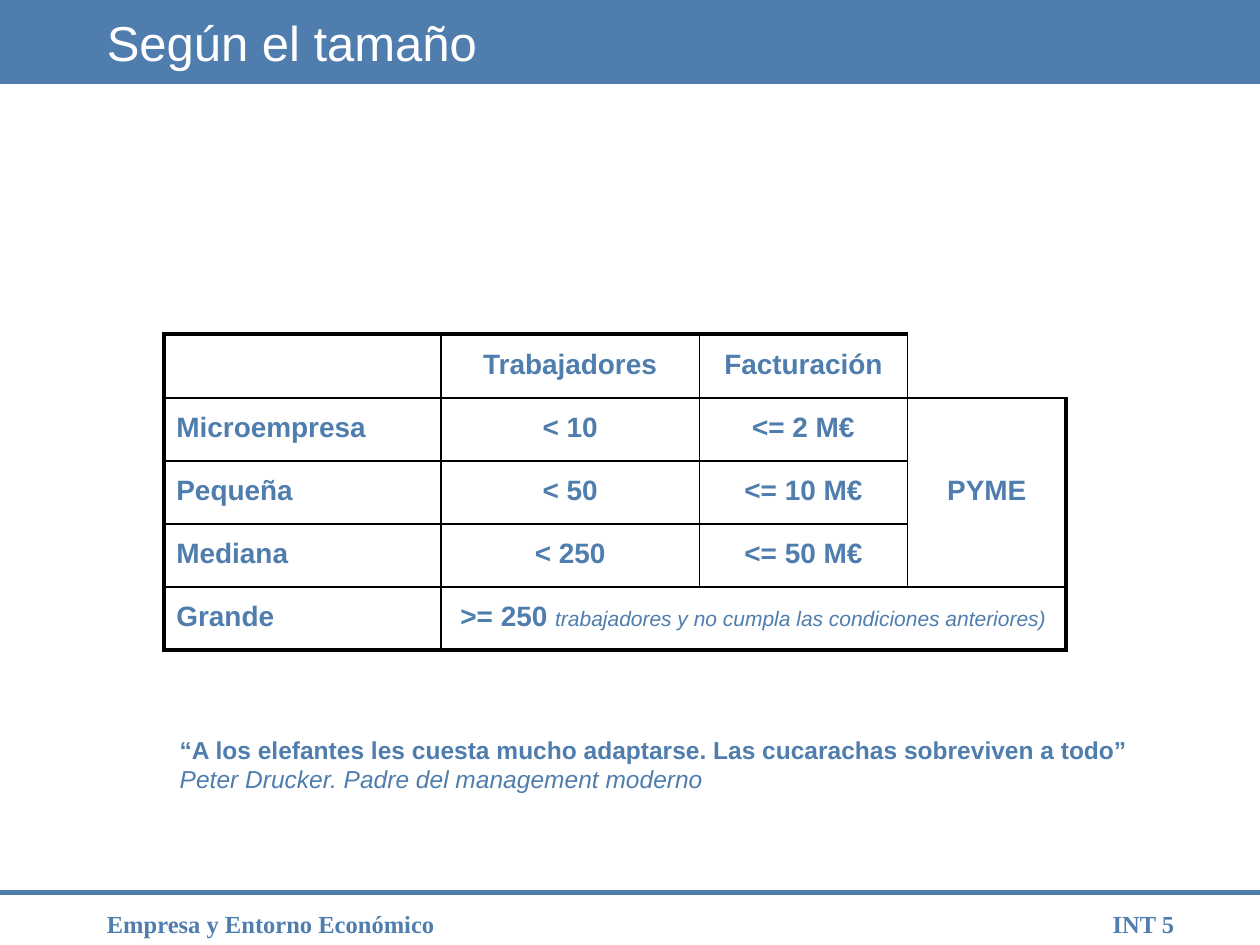
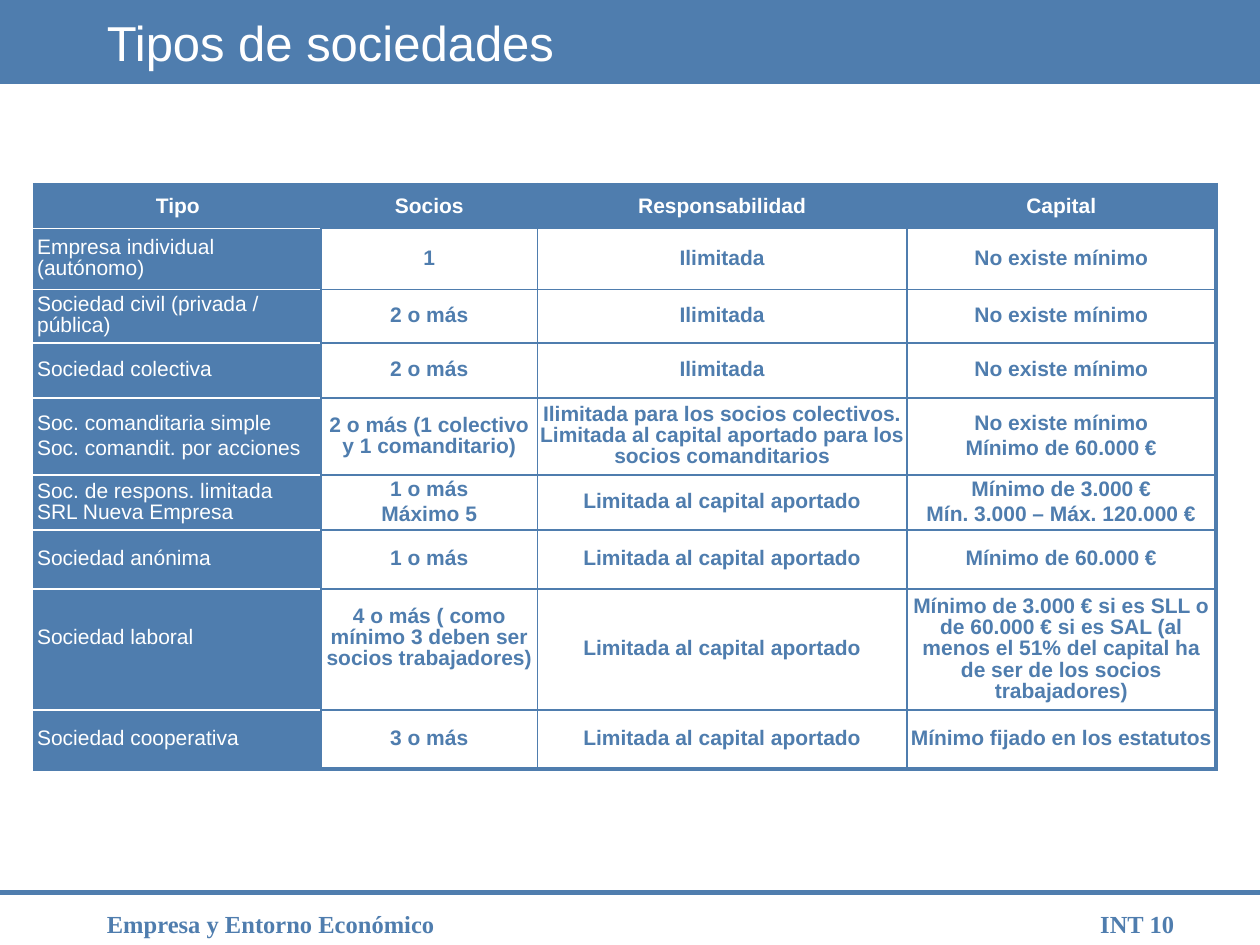
import dataclasses

import lxml.etree
import pptx
import pptx.dml.color
import pptx.enum.shapes
import pptx.enum.text
import pptx.oxml.ns
import pptx.util

Pt = pptx.util.Pt
ALIGN = pptx.enum.text.PP_ALIGN
ANCHOR = pptx.enum.text.MSO_ANCHOR


@dataclasses.dataclass(frozen=True)
class Theme:
    blue: str = "4F7DAE"
    white: str = "FFFFFF"
    black: str = "000000"
    body_font: str = "Arial"
    footer_font: str = "Times New Roman"
    title_size: float = 28
    footer_size: float = 14
    quote_size: float = 14
    size_table_size: float = 16
    small_size: float = 12
    thin: float = 1
    thick: float = 2.25
    footer_line: float = 3


THEME = Theme()
SLIDE_WIDTH, SLIDE_HEIGHT = 720, 540
TITLE_BAND = (0, 0, SLIDE_WIDTH, 48)
FOOTER = (0, 510, SLIDE_WIDTH, 30)
COURSE = "Empresa y Entorno Económico"

# Company sizes: rows, and merged cells as (row, column): (rows, columns)
SIZE_ROWS = [
    ["", "Trabajadores", "Facturación", ""],
    ["Microempresa", "< 10", "<= 2 M€", "PYME"],
    ["Pequeña", "< 50", "<= 10 M€", ""],
    ["Mediana", "< 250", "<= 50 M€", ""],
    ["Grande", "", "", ""],
]
SIZE_SPANS = {(1, 3): (3, 1), (4, 1): (1, 3)}
LARGE_COMPANY = [(">= 250 ", THEME.size_table_size, True),
                 ("trabajadores y no cumpla las condiciones anteriores)", THEME.small_size, False)]

# Company types: a tuple holds several paragraphs
NO_MINIMUM = "No existe mínimo"
LIMITED = "Limitada al capital aportado"
TYPE_ROWS = [
    ["Tipo", "Socios", "Responsabilidad", "Capital"],
    ["Empresa individual (autónomo)", "1", "Ilimitada", NO_MINIMUM],
    ["Sociedad civil (privada / pública)", "2 o más", "Ilimitada", NO_MINIMUM],
    ["Sociedad colectiva", "2 o más", "Ilimitada", NO_MINIMUM],
    [("Soc. comanditaria simple", "Soc. comandit. por acciones"),
     "2 o más (1 colectivo y 1 comanditario)",
     "Ilimitada para los socios colectivos. Limitada al capital aportado para los "
     "socios comanditarios",
     (NO_MINIMUM, "Mínimo de 60.000 €")],
    ["Soc. de respons. limitada\nSRL Nueva Empresa", ("1 o más", "Máximo 5"), LIMITED,
     ("Mínimo de 3.000 €", "Mín. 3.000 – Máx. 120.000 €")],
    ["Sociedad anónima", "1 o más", LIMITED, "Mínimo de 60.000 €"],
    ["Sociedad laboral", "4 o más ( como mínimo 3 deben ser socios trabajadores)", LIMITED,
     "Mínimo de 3.000 € si es SLL o de 60.000 € si es SAL (al menos el 51% del capital "
     "ha de ser de los socios trabajadores)"],
    ["Sociedad cooperativa", "3 o más", LIMITED, "Mínimo fijado en los estatutos"],
]


def rgb(color):
    return pptx.dml.color.RGBColor.from_string(color)


def style_font(font, size, color, name=THEME.body_font, bold=False, italic=False):
    font.name, font.size, font.bold, font.italic = name, Pt(size), bold, italic
    font.color.rgb = rgb(color)


def add_text(slide, box, text, size, color, align=ALIGN.LEFT, anchor=ANCHOR.TOP, **style):
    frame = slide.shapes.add_textbox(*map(Pt, box)).text_frame
    frame.word_wrap = True
    frame.vertical_anchor = anchor
    paragraph = frame.paragraphs[0]
    paragraph.text, paragraph.alignment = text, align
    style_font(paragraph.font, size, color, **style)
    return frame


def add_title_band(slide, box, title):
    left, top, width, height = box
    band = slide.shapes.add_shape(pptx.enum.shapes.MSO_SHAPE.RECTANGLE, *map(Pt, box))
    band.shadow.inherit = False
    band.fill.solid()
    band.fill.fore_color.rgb = rgb(THEME.blue)
    band.line.fill.background()
    add_text(slide, (left + 54, top, width - 108, height), title,
             THEME.title_size, THEME.white, anchor=ANCHOR.MIDDLE)


def add_footer(slide, box, number):
    left, top, width, _ = box
    line = slide.shapes.add_connector(pptx.enum.shapes.MSO_CONNECTOR.STRAIGHT,
                                      Pt(left), Pt(top), Pt(left + width), Pt(top))
    line.line.color.rgb = rgb(THEME.blue)
    line.line.width = Pt(THEME.footer_line)
    properties = line._element.spPr
    lxml.etree.SubElement(properties, pptx.oxml.ns.qn("a:effectLst"))
    style = dict(size=THEME.footer_size, color=THEME.blue, name=THEME.footer_font, bold=True)
    add_text(slide, (left + 604, top + 6, 74, 24), f"INT {number}", align=ALIGN.RIGHT, **style)
    add_text(slide, (left + 54, top + 6, 336, 18), COURSE, **style)


def add_slide(presentation, title, number):
    slide = presentation.slides.add_slide(presentation.slide_layouts[6])
    add_title_band(slide, TITLE_BAND, title)
    add_footer(slide, FOOTER, number)
    return slide


def set_border(cell, side, color, width):
    """Draw one cell side (L, R, T or B); no colour means no line."""
    properties = cell._tc.get_or_add_tcPr()
    line = lxml.etree.SubElement(properties, pptx.oxml.ns.qn(f"a:ln{side}"), w=str(Pt(width)))
    if color is None:
        lxml.etree.SubElement(line, pptx.oxml.ns.qn("a:noFill"))
    else:
        fill = lxml.etree.SubElement(line, pptx.oxml.ns.qn("a:solidFill"))
        lxml.etree.SubElement(fill, pptx.oxml.ns.qn("a:srgbClr"), val=color)


def border_cell(cell, row, column, row_count, column_count, edge_color):
    """Thick lines on the outside of the grid, thin ones inside."""
    last_row, last_column = row, column
    if cell.is_merge_origin:
        last_row += cell.span_height - 1
        last_column += cell.span_width - 1
    outside = {"L": column == 0, "R": last_column == column_count - 1,
               "T": row == 0, "B": last_row == row_count - 1}
    for side, is_outside in outside.items():
        color = edge_color(row, column, side, is_outside)
        if cell.is_spanned and not is_outside:
            color = None
        set_border(cell, side, color, THEME.thick if is_outside else THEME.thin)


def format_paragraph(paragraph, align, size):
    paragraph.alignment = align
    paragraph.line_spacing = 0.9
    paragraph.space_before = Pt(size * 0.2)


def fill_cell(cell, content, align, size, color, bold):
    paragraphs = content if isinstance(content, tuple) else (content,)
    for index, text in enumerate(paragraphs):
        frame = cell.text_frame
        paragraph = frame.add_paragraph() if index else frame.paragraphs[0]
        paragraph.text = text
        format_paragraph(paragraph, align, size)
        style_font(paragraph.font, size, color, bold=bold)


def add_grid(slide, box, rows, widths, heights, size, margins, edge_color,
             spans=None, header_fill=None):
    """Table whose first column is left aligned; header_fill paints first row and column."""
    table = slide.shapes.add_table(len(rows), len(widths), *map(Pt, box)).table
    table.first_row = table.horz_banding = False
    for column, width in zip(table.columns, widths):
        column.width = Pt(width)
    for table_row, height in zip(table.rows, heights):
        table_row.height = Pt(height)
    for (row, column), (down, across) in (spans or {}).items():
        table.cell(row, column).merge(table.cell(row + down - 1, column + across - 1))
    for row, contents in enumerate(rows):
        for column, content in enumerate(contents):
            cell = table.cell(row, column)
            border_cell(cell, row, column, len(rows), len(widths), edge_color)
            is_header = header_fill is not None and (row == 0 or column == 0)
            if is_header:
                cell.fill.solid()
                cell.fill.fore_color.rgb = rgb(header_fill)
            else:
                cell.fill.background()
            cell.vertical_anchor = ANCHOR.MIDDLE
            cell.margin_left = cell.margin_right = Pt(margins[0])
            cell.margin_top = cell.margin_bottom = Pt(margins[1])
            if content:
                fill_cell(cell, content, ALIGN.CENTER if column or (is_header and row == 0) else ALIGN.LEFT,
                          size, THEME.white if is_header else THEME.blue,
                          bold=not is_header or row == 0)
    return table


def size_edge_color(row, column, side, is_outside):
    """The empty top right corner stays open."""
    return None if (row, column) == (0, 3) and is_outside else THEME.black


def type_edge_color(row, column, side, is_outside):
    """White rules part the painted first column."""
    return THEME.white if column == 0 and side in "TB" and not is_outside else THEME.blue


def add_size_table(slide, box):
    table = add_grid(slide, box, SIZE_ROWS, [158.4, 147.6, 119, 90.6], [36.7] + [36] * 4,
                     THEME.size_table_size, (7.2, 3.6), size_edge_color, SIZE_SPANS)
    # Large companies: two type sizes in one merged cell
    paragraph = table.cell(4, 1).text_frame.paragraphs[0]
    format_paragraph(paragraph, ALIGN.CENTER, THEME.size_table_size)
    for text, size, bold in LARGE_COMPANY:
        run = paragraph.add_run()
        run.text = text
        style_font(run.font, size, THEME.blue, bold=bold, italic=not bold)


def add_quote(slide, box):
    frame = add_text(
        slide, box,
        "“A los elefantes les cuesta mucho adaptarse. Las cucarachas sobreviven a todo”",
        THEME.quote_size, THEME.blue, bold=True)
    author = frame.add_paragraph()
    author.text = "Peter Drucker. Padre del management moderno"
    style_font(author.font, THEME.quote_size, THEME.blue, italic=True)


def add_type_table(slide, box):
    table = add_grid(slide, box, TYPE_ROWS, [163.6, 123.8, 211, 176.6],
                     [25.2, 34.6, 30.6, 31.5, 44, 31.5, 33.8, 69.1, 33.8],
                     THEME.small_size, (1.4, 1.4), type_edge_color, header_fill=THEME.blue)
    # The worker-owned company's first two cells sit a little higher
    for column in range(2):
        table.cell(7, column).margin_bottom = Pt(14.4)


def main():
    presentation = pptx.Presentation()
    presentation.slide_width, presentation.slide_height = Pt(SLIDE_WIDTH), Pt(SLIDE_HEIGHT)

    size_slide = add_slide(presentation, "Según el tamaño", 5)
    add_size_table(size_slide, (93.6, 190.8, 515.6, 180.7))
    add_quote(size_slide, (95.6, 416.2, 558, 41))

    type_slide = add_slide(presentation, "Tipos de sociedades", 10)
    add_type_table(type_slide, (19.8, 105.5, 675, 334.1))

    presentation.save("out.pptx")


if __name__ == "__main__":
    main()
